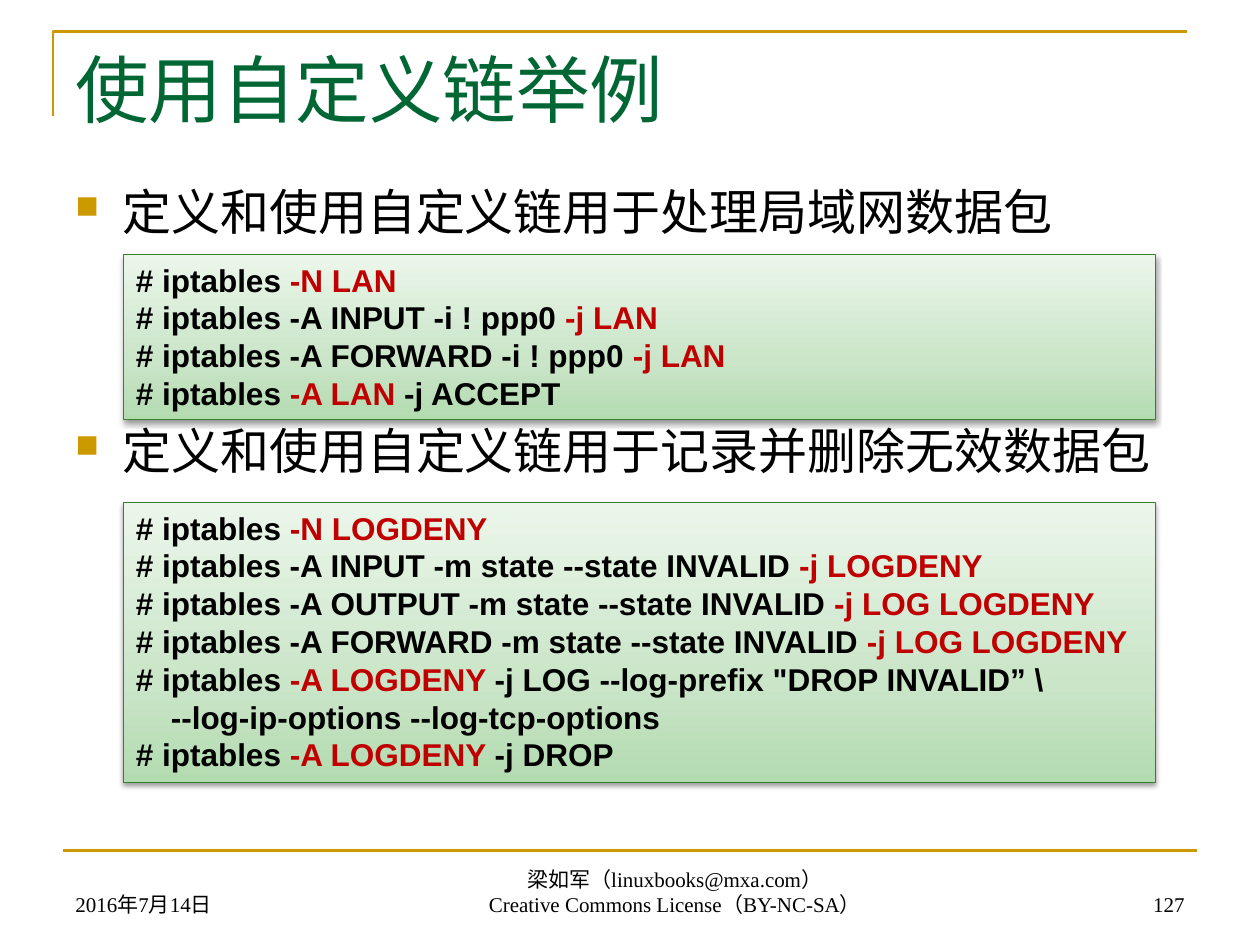
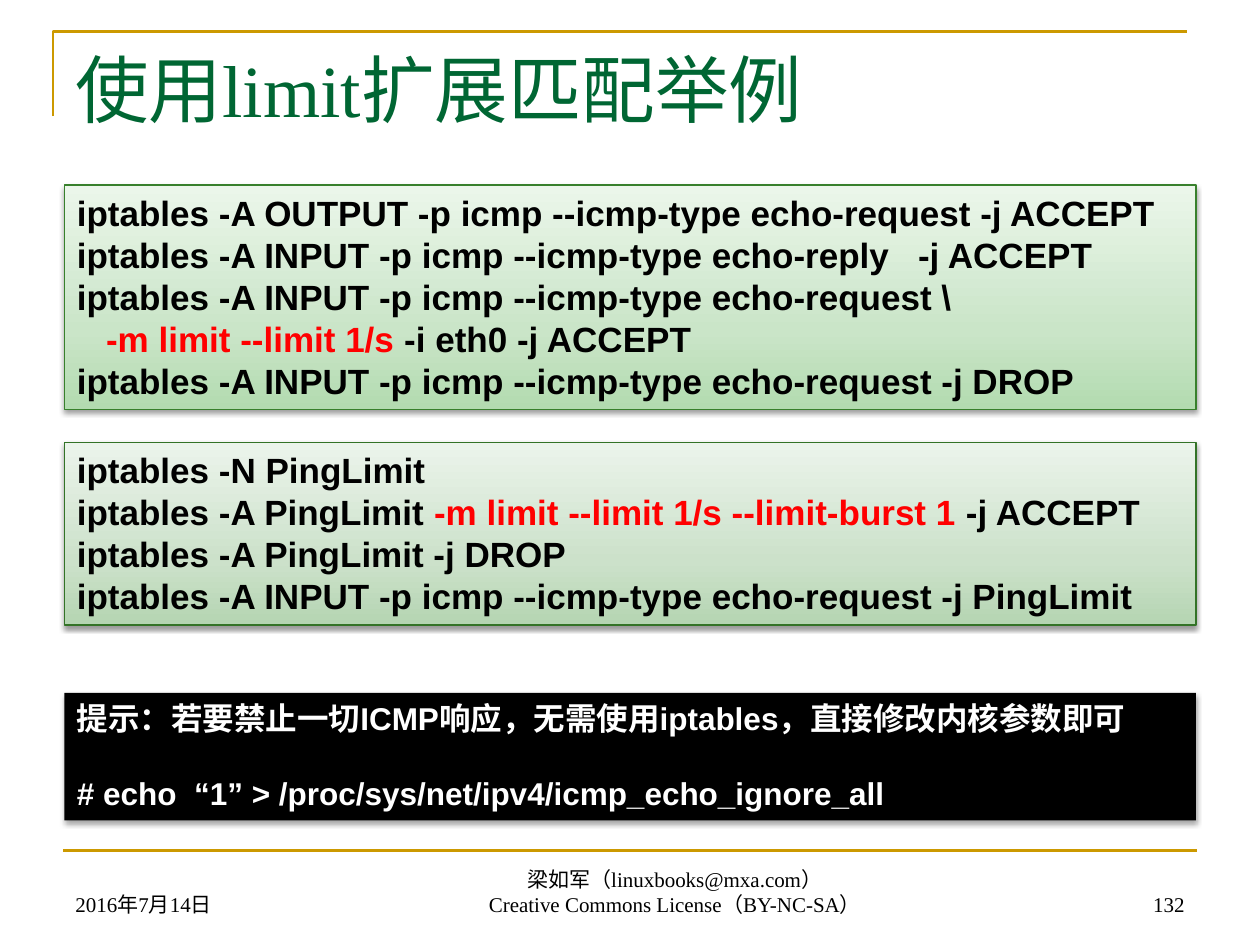
from lxml.etree import SubElement
from pptx import Presentation
from pptx.dml.color import RGBColor
from pptx.enum.shapes import MSO_CONNECTOR as CONN, MSO_SHAPE as SHAPE
from pptx.enum.text import MSO_ANCHOR as ANCHOR, MSO_AUTO_SIZE as AUTO, PP_ALIGN as ALIGN
from pptx.oxml.ns import qn
from pptx.util import Cm, Pt

GREEN = ("B3DBB0", "CAE5C8", "EBF6EA")
SAGE = ("B5D5B2", "CCE1CA", "EBF4EB")


def rgb(color):
    return RGBColor.from_string(color)


class Deck:
    gold, title_green, black, white = "CC9900", "006633", "000000", "FFFFFF"
    sans, serif = "Arial", "Times New Roman"

    def __init__(self):
        self.prs = Presentation()
        self.prs.slide_width, self.prs.slide_height = Cm(25.4), Cm(19.05)

    def start_slide(self, title, number):
        self.slide = self.prs.slides.add_slide(self.prs.slide_layouts[6])
        self.corner()
        self.rule()
        self.text([title], 1.27, 0.76, 22.86, 3.18, 42, self.title_green)
        self.footer(["2016年7月14日"], 1.27, 5.92, ALIGN.LEFT)
        self.footer(["梁如军（linuxbooks@mxa.com）", "Creative Commons License（BY-NC-SA）"],
                    6.1, 15.01, ALIGN.CENTER)
        self.footer([str(number)], 18.21, 5.92, ALIGN.RIGHT)

    def corner(self):
        left, top = Cm(1.07), Cm(0.64)
        fb = self.slide.shapes.build_freeform(left, Cm(2.34))
        fb.add_line_segments([(left, top), (Cm(23.93), top)], close=False)
        sp = fb.convert_to_shape()
        sp.shadow.inherit = False
        sp.fill.background()
        self.stroke(sp.line, self.gold, 1.5)

    def rule(self):
        y = Cm(17.15)
        line = self.slide.shapes.add_connector(CONN.STRAIGHT, Cm(1.27), y, Cm(24.13), y)
        SubElement(line._element.spPr, qn("a:effectLst"))
        self.stroke(line.line, self.gold, 1.5)

    def stroke(self, line, color, width):
        line.color.rgb = rgb(color)
        line.width = Pt(width)

    def font(self, font, size, color, name, bold=False):
        font.size, font.name, font.bold = Pt(size), name, bold
        font.color.rgb = rgb(color)

    def text(self, lines, x, y, w, h, size, color, name=serif,
             align=ALIGN.LEFT, anchor=ANCHOR.TOP):
        tf = self.slide.shapes.add_textbox(Cm(x), Cm(y), Cm(w), Cm(h)).text_frame
        tf.word_wrap, tf.vertical_anchor = True, anchor
        tf.text = "\n".join(lines)
        for p in tf.paragraphs:
            p.alignment = align
            for r in p.runs:
                self.font(r.font, size, color, name)
        return tf

    def footer(self, lines, x, w, align):
        self.text(lines, x, 17.34, w, 1.27, 12, self.black, align=align, anchor=ANCHOR.BOTTOM)

    def bullets(self, lines, gap):
        tf = self.text(lines, 1.27, 3.53, 22.86, 13.51, 28, self.black, self.sans)
        for i, p in enumerate(tf.paragraphs):
            pPr = p._p.get_or_add_pPr()
            pPr.set("marL", str(Cm(0.95)))
            pPr.set("indent", str(-Cm(0.95)))
            clr = SubElement(pPr, qn("a:buClr"))
            SubElement(clr, qn("a:srgbClr"), val=self.gold)
            SubElement(pPr, qn("a:buSzPct"), val="65000")
            SubElement(pPr, qn("a:buChar"), char="■")
            if i:
                p.space_before = Pt(gap)

    def box(self, lines, x, y, w, h, size, color, accent=None, gap=0):
        """Add a shadowed box of bold lines; text between | marks takes the accent colour."""
        sp = self.slide.shapes.add_shape(SHAPE.RECTANGLE, Cm(x), Cm(y), Cm(w), Cm(h))
        tf = sp.text_frame
        tf.word_wrap, tf.vertical_anchor = True, ANCHOR.TOP
        tf.auto_size = AUTO.SHAPE_TO_FIT_TEXT
        for i, line in enumerate(lines):
            p = tf.add_paragraph() if i else tf.paragraphs[0]
            p.alignment = ALIGN.LEFT
            if i and gap:
                p.space_before = Pt(gap)
            for j, part in enumerate(line.split("|")):
                if part:
                    r = p.add_run()
                    r.text = part
                    self.font(r.font, size, accent if j % 2 else color, self.sans, True)
        return sp

    def shadow(self, sp, alpha, distance):
        sp.shadow.inherit = False
        effects = sp._element.spPr.find(qn("a:effectLst"))
        shadow = SubElement(effects, qn("a:outerShdw"), blurRad=str(Pt(3.1)),
                            dist=str(Pt(distance)), dir="5400000", rotWithShape="0")
        clr = SubElement(shadow, qn("a:srgbClr"), val=self.black)
        SubElement(clr, qn("a:alpha"), val=str(alpha * 1000))

    def code(self, lines, x, y, w, h, size, accent, shades=GREEN, edge="38802C"):
        sp = self.box(lines, x, y, w, h, size, self.black, accent)
        sp.fill.gradient()
        sp.fill.gradient_angle = 90
        stops = sp._element.spPr.find(qn("a:gradFill")).find(qn("a:gsLst"))
        stops.clear()
        for pos, shade in zip((0, 35, 100), shades):
            stop = SubElement(stops, qn("a:gs"), pos=str(pos * 1000))
            SubElement(stop, qn("a:srgbClr"), val=shade)
        self.stroke(sp.line, edge, 0.75)
        self.shadow(sp, 38, 1.6)

    def hint(self, lines, x, y, w, h, gap):
        sp = self.box(lines, x, y, w, h, 18, self.white, gap=gap)
        sp.fill.solid()
        sp.fill.fore_color.rgb = rgb(self.black)
        sp.line.fill.background()
        self.shadow(sp, 35, 1.8)


def custom_chain_slide(deck):
    deck.start_slide("使用自定义链举例", 127)
    deck.bullets(["定义和使用自定义链用于处理局域网数据包",
                  "定义和使用自定义链用于记录并删除无效数据包"], gap=103)
    x, w, size, red = 2.49, 20.8, 18, "C00000"
    deck.code(["# iptables |-N LAN|",
               "# iptables -A INPUT -i ! ppp0 |-j LAN|",
               "# iptables -A FORWARD -i ! ppp0 |-j LAN|",
               "# iptables |-A LAN |-j ACCEPT"], x, 5.13, w, 3.33, size, red)
    deck.code(["# iptables |-N LOGDENY|",
               "# iptables -A INPUT -m state --state INVALID |-j LOGDENY|",
               "# iptables -A OUTPUT -m state --state INVALID |-j LOG LOGDENY|",
               "# iptables -A FORWARD -m state --state INVALID |-j LOG LOGDENY|",
               "# iptables |-A LOGDENY |-j LOG --log-prefix \"DROP INVALID” \\",
               "    --log-ip-options --log-tcp-options",
               "# iptables| -A LOGDENY |-j DROP"], x, 10.13, w, 5.64, size, red)


def limit_match_slide(deck):
    deck.start_slide("使用limit扩展匹配举例", 132)
    x, w, size, red = 1.3, 22.81, 20, "FF0000"
    deck.code(["iptables -A OUTPUT -p icmp --icmp-type echo-request -j ACCEPT",
               "iptables -A INPUT -p icmp --icmp-type echo-reply   -j ACCEPT",
               "iptables -A INPUT -p icmp --icmp-type echo-request \\",
               "   |-m limit --limit 1/s |-i eth0 -j ACCEPT",
               "iptables -A INPUT -p icmp --icmp-type echo-request -j DROP"],
              x, 3.73, w, 4.52, size, red)
    deck.code(["iptables -N PingLimit",
               "iptables -A PingLimit |-m limit --limit 1/s --limit-burst 1 |-j ACCEPT",
               "iptables -A PingLimit -j DROP",
               "iptables -A INPUT -p icmp --icmp-type echo-request -j PingLimit"],
              x, 8.92, w, 3.68, size, red, SAGE, "337327")
    deck.hint(["提示：若要禁止一切ICMP响应，无需使用iptables，直接修改内核参数即可",
               "# echo  “1” > /proc/sys/net/ipv4/icmp_echo_ignore_all"],
              x, 13.97, w, 2.57, gap=21)


def main():
    deck = Deck()
    custom_chain_slide(deck)
    limit_match_slide(deck)
    deck.prs.save("out.pptx")


if __name__ == "__main__":
    main()
